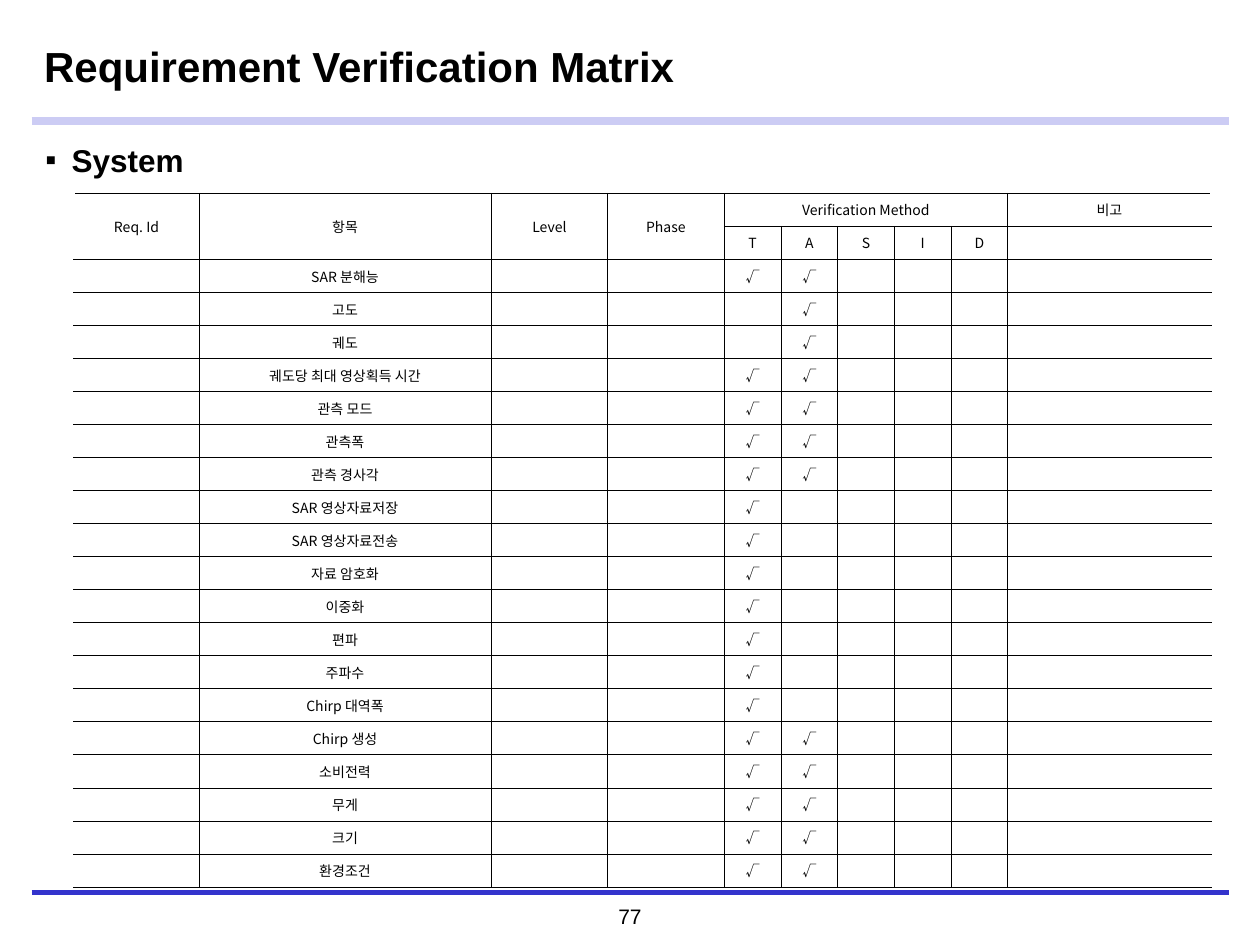
from lxml.etree import SubElement
from pptx import Presentation
from pptx.dml.color import RGBColor
from pptx.enum.text import MSO_ANCHOR, MSO_AUTO_SIZE, PP_ALIGN
from pptx.enum.shapes import MSO_CONNECTOR
from pptx.oxml.ns import qn
from pptx.util import Pt

BLACK = RGBColor(0x00, 0x00, 0x00)
WHITE = RGBColor(0xFF, 0xFF, 0xFF)
BLUE = RGBColor(0x33, 0x33, 0xCC)
PALE_BLUE = RGBColor(0xCC, 0xCC, 0xF4)
HEADING_FONT = "Arial"
TABLE_FONT = "Noto Sans CJK KR"

TITLE = "Requirement Verification Matrix"
SECTION = "System"
PAGE_NUMBER = "77"
METHODS = "TASID"
HEADER = ["Req. Id", "항목", "Level", "Phase", "Verification Method", "", "", "", "", "비고"]
SUBHEADER = ["", "", "", "", *METHODS, ""]
REQUIREMENTS = [  # item, verification methods that apply
    ("SAR 분해능", "TA"), ("고도", "A"), ("궤도", "A"),
    ("궤도당 최대 영상획득 시간", "TA"), ("관측 모드", "TA"),
    ("관측폭", "TA"), ("관측 경사각", "TA"), ("SAR 영상자료저장", "T"),
    ("SAR 영상자료전송", "T"), ("자료 암호화", "T"), ("이중화", "T"),
    ("편파", "T"), ("주파수", "T"), ("Chirp 대역폭", "T"),
    ("Chirp 생성", "TA"), ("소비전력", "TA"), ("무게", "TA"),
    ("크기", "TA"), ("환경조건", "TA"),
]
COLUMN_WIDTHS = [71.3, 167, 66.6, 66.6] + [32.4] * 5 + [116.3]
ROW_HEIGHT = 18.88
TABLE_LEFT, TABLE_TOP = 42.4, 110.4
RULES = [(69, PALE_BLUE, 4.5), (510.5, BLUE, 2), (509.8, BLUE, 2)]  # y, colour, weight


def write(frame, text, size, font=HEADING_FONT, bold=False,
          align=PP_ALIGN.LEFT, anchor=MSO_ANCHOR.TOP):
    frame.word_wrap = True
    frame.vertical_anchor = anchor
    paragraph = frame.paragraphs[0]
    paragraph.alignment = align
    if text:
        run = paragraph.add_run()
        run.text = text
        run.font.size, run.font.bold, run.font.name = Pt(size), bold, font
        run.font.color.rgb = BLACK
        SubElement(run.font._element, qn("a:ea"), typeface=font)
    else:  # an empty cell keeps the small text height
        SubElement(paragraph._p, qn("a:endParaRPr"), sz=str(size * 100))
    return paragraph


def place(shape, left, top, width, height):
    shape.left, shape.top = Pt(left), Pt(top)
    shape.width, shape.height = Pt(width), Pt(height)


def add_rule(slide, y, colour, weight):
    rule = slide.shapes.add_connector(MSO_CONNECTOR.STRAIGHT, Pt(18), Pt(y), Pt(702), Pt(y))
    rule.line.color.rgb = colour
    rule.line.width = Pt(weight)
    SubElement(rule._element.spPr, qn("a:effectLst"))


def add_border(cell, side, colour, weight):
    line = SubElement(cell._tc.get_or_add_tcPr(), qn(f"a:ln{side}"), w=str(Pt(weight)))
    fill = SubElement(line, qn("a:solidFill"))
    SubElement(fill, qn("a:srgbClr"), val=str(colour))


def add_matrix(slide):
    rows = [HEADER, SUBHEADER]
    for item, applied in REQUIREMENTS:
        marks = ["√" if method in applied else "" for method in METHODS]
        rows.append(["", item, "", "", *marks, ""])
    last = len(COLUMN_WIDTHS) - 1
    matrix = slide.shapes.add_table(
        len(rows), len(COLUMN_WIDTHS), Pt(TABLE_LEFT), Pt(TABLE_TOP),
        Pt(sum(COLUMN_WIDTHS)), Pt(ROW_HEIGHT * len(rows))).table
    matrix.first_row = matrix.horz_banding = False
    for column, width in zip(matrix.columns, COLUMN_WIDTHS):
        column.width = Pt(width)
    for r, row in enumerate(rows):
        matrix.rows[r].height = Pt(ROW_HEIGHT)
        for c, text in enumerate(row):
            cell = matrix.cell(r, c)
            write(cell.text_frame, text, 8, font=TABLE_FONT, align=PP_ALIGN.CENTER)
            cell.vertical_anchor = MSO_ANCHOR.MIDDLE
            for side in "LRTB":
                outer = (side, c) in (("L", 0), ("R", last))
                add_border(cell, side, *((WHITE, 1) if outer else (BLACK, 0.5)))
            cell.fill.background()
    for c in range(4):
        matrix.cell(0, c).merge(matrix.cell(1, c))
    matrix.cell(0, 4).merge(matrix.cell(0, 8))


def main():
    deck = Presentation()
    deck.slide_width, deck.slide_height = Pt(720), Pt(540)
    slide = deck.slides.add_slide(deck.slide_layouts[1])
    for rule in RULES:
        add_rule(slide, *rule)

    title = slide.shapes.title
    place(title, 18, 10, 550, 55.5)
    title.text_frame.auto_size = MSO_AUTO_SIZE.NONE
    write(title.text_frame, TITLE, 24, bold=True, anchor=MSO_ANCHOR.MIDDLE)

    body = slide.placeholders[1]
    place(body, 18.7, 77, 682.6, 413.3)
    body.text_frame.auto_size = MSO_AUTO_SIZE.NONE
    section = write(body.text_frame, SECTION, 18, bold=True)
    section.space_before = Pt(3.6)
    bullet = section._p.get_or_add_pPr()
    bullet.set("marL", str(Pt(15)))
    bullet.set("indent", str(Pt(-15)))
    SubElement(bullet, qn("a:buFont"), typeface=HEADING_FONT)
    SubElement(bullet, qn("a:buChar"), char="▪")

    add_matrix(slide)
    page = slide.shapes.add_textbox(Pt(301.7), Pt(512.6), Pt(116.6), Pt(21.6))
    write(page.text_frame, PAGE_NUMBER, 12, align=PP_ALIGN.CENTER)
    deck.save("out.pptx")


if __name__ == "__main__":
    main()
